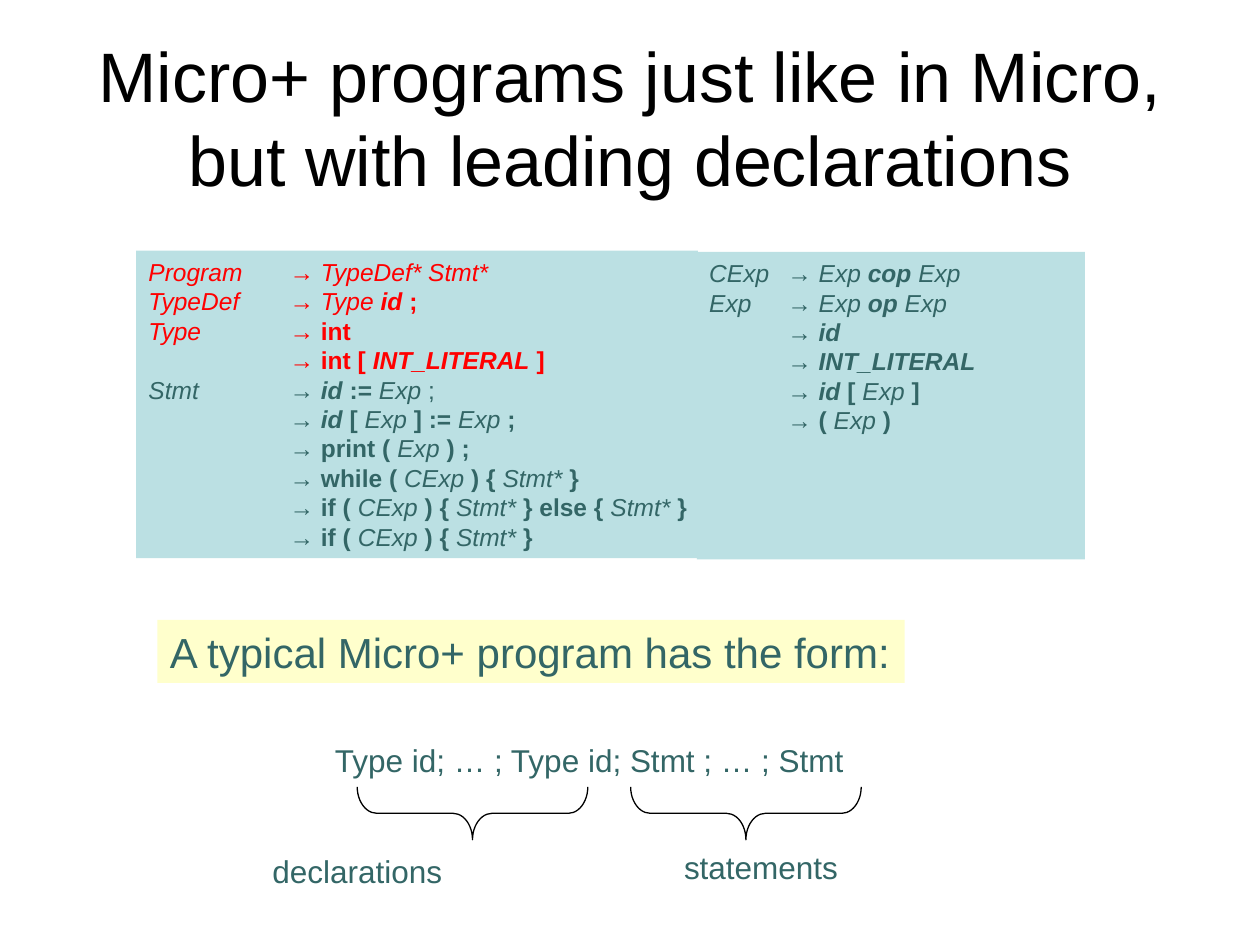
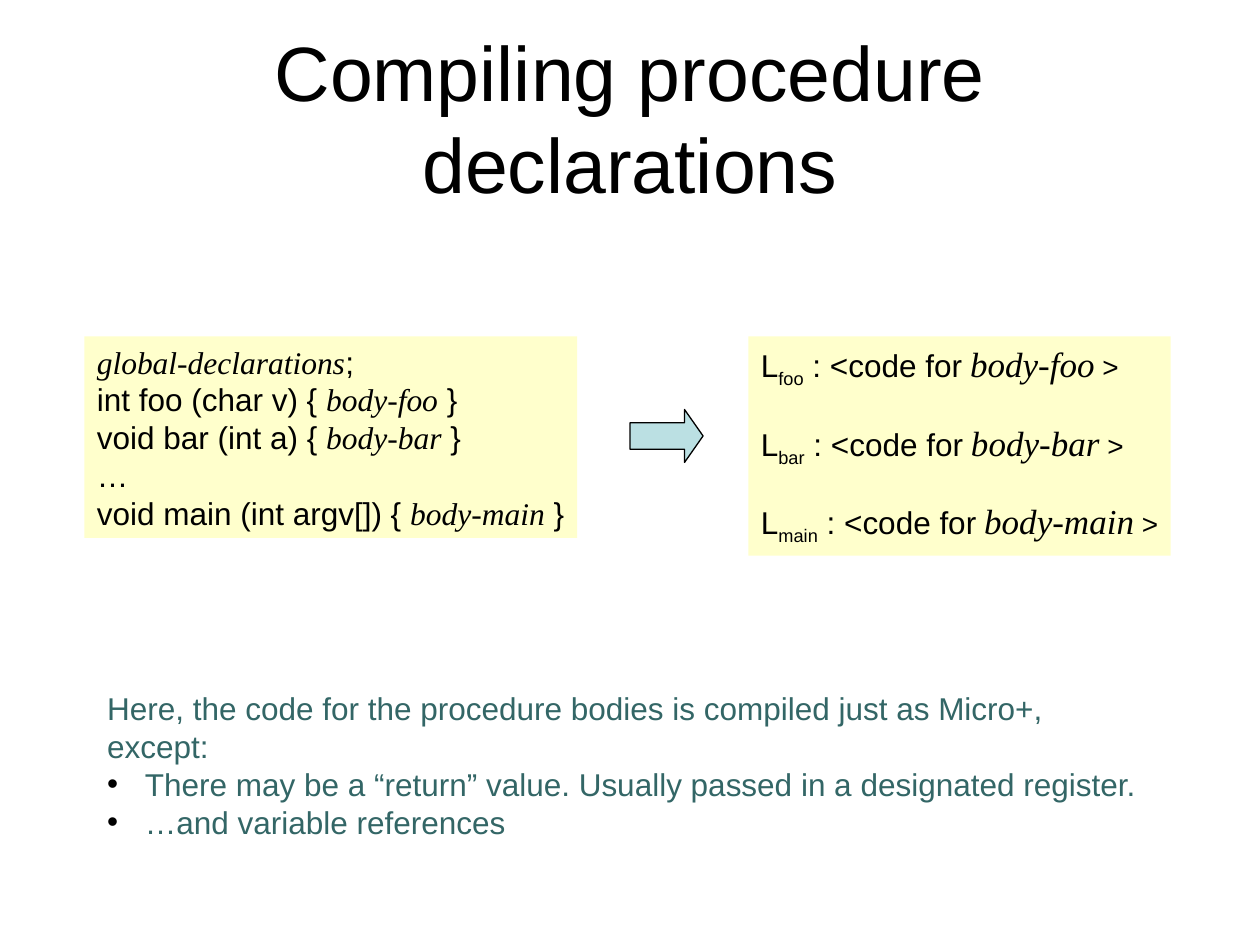
from lxml import etree
from pptx import Presentation
from pptx.dml.color import RGBColor
from pptx.enum.shapes import MSO_SHAPE
from pptx.enum.text import MSO_ANCHOR, MSO_AUTO_SIZE, PP_ALIGN
from pptx.oxml.ns import qn
from pptx.util import Inches, Pt

LEFT, CENTER = PP_ALIGN.LEFT, PP_ALIGN.CENTER
TOP, MIDDLE = MSO_ANCHOR.TOP, MSO_ANCHOR.MIDDLE
NO_AUTOFIT = MSO_AUTO_SIZE.NONE
RIGHT_BRACE, RIGHT_ARROW = MSO_SHAPE.RIGHT_BRACE, MSO_SHAPE.RIGHT_ARROW

BLACK, RED, TEAL = "000000", "FF0000", "336666"
BLUE, YELLOW = "BBE0E3", "FFFFCC"

PLAIN = {}
B = {"bold": True}
I = {"italic": True}
BI = {**B, **I}
BODY = {"italic": True, "font": "Times New Roman"}


def paint(fill, color):
    fill.solid()
    fill.fore_color.rgb = RGBColor.from_string(color)


def write(sp, lines, size=18, color=TEAL, fill=None, align=LEFT, anchor=TOP,
          wrap=False, tab=None, gap=0, bullets_from=None):
    """Fill sp with lines, each a string or a list of (text, style) runs."""
    if fill:
        paint(sp.fill, fill)
    tf = sp.text_frame
    tf.auto_size = NO_AUTOFIT
    tf.word_wrap = wrap
    tf.vertical_anchor = anchor
    for n, line in enumerate(lines):
        p = tf.add_paragraph() if n else tf.paragraphs[0]
        pPr = p._p.get_or_add_pPr()
        if bullets_from is not None:
            bulleted = n >= bullets_from
            indent = Inches(0.3) if bulleted else 0
            pPr.set("marL", str(indent))
            pPr.set("indent", str(-indent))
            if bulleted:
                clr = etree.SubElement(pPr, qn("a:buClr"))
                etree.SubElement(clr, qn("a:srgbClr"), val=BLACK)
                etree.SubElement(pPr, qn("a:buChar"), char="•")
            else:
                etree.SubElement(pPr, qn("a:buNone"))
        if tab:
            tabs = etree.SubElement(pPr, qn("a:tabLst"))
            etree.SubElement(tabs, qn("a:tab"), pos=str(Inches(tab)), algn="l")
        p.alignment = align
        p.space_before = Pt(gap if n else 0)
        for text, style in [(line, PLAIN)] if isinstance(line, str) else line:
            r = p.add_run()
            r.text = text
            r.font.name = style.get("font", "Arial")
            r.font.size = Pt(style.get("size", size))
            r.font.bold = style.get("bold", False)
            r.font.italic = style.get("italic", False)
            paint(r.font.fill, style.get("color", color))
            if "baseline" in style:
                r.font._element.set("baseline", style["baseline"])


prs = Presentation()
prs.slide_width, prs.slide_height = Inches(10), Inches(7.5)

slides = []
for layout, title, size in [
    (5, "Micro+ programs just like in Micro, but with leading declarations", 40),
    (1, "Compiling procedure declarations", 44),
]:
    slide = prs.slides.add_slide(prs.slide_layouts[layout])
    sp = slide.shapes.title
    sp.left, sp.top, sp.width, sp.height = map(Inches, (0.5, 0.3, 9, 1.25))
    write(sp, [title], size, BLACK, align=CENTER, anchor=MIDDLE, wrap=True)
    slides.append(slide)

# Slide 1: grammar, with the new rules in red
shapes = slides[0].shapes
new_rules = [
    ("Program", [("TypeDef* Stmt*", I)]),
    ("TypeDef", [("Type ", I), ("id ", BI), (";", B)]),
    ("Type", [("int", B)]),
    ("", [("int [ ", B), ("INT_LITERAL", BI), (" ]", B)]),
]
block = [(") { ", B), ("Stmt* ", I)]
condition = [("CExp ", I), *block]
stmt_rules = [
    ("Stmt", [("id ", BI), (":= ", B), ("Exp ", I), (";", PLAIN)]),
    ("", [("id ", BI), ("[ ", B), ("Exp ", I), ("] := ", B), ("Exp ", I), (";", B)]),
    ("", [("print ( ", B), ("Exp ", I), (") ;", B)]),
    ("", [("while ( ", B), *condition, ("}", B)]),
    ("", [("if ( ", B), *condition, ("} else { ", B), ("Stmt* ", I), ("}", B)]),
    ("", [("if ( ", B), *condition, ("}", B)]),
]
exp_rules = [
    ("CExp", [("Exp ", I), ("cop", BI), (" Exp", I)]),
    ("Exp", [("Exp ", I), ("op", BI), (" Exp", I)]),
    ("", [("id", BI)]),
    ("", [("INT_LITERAL", BI)]),
    ("", [("id ", BI), ("[ ", B), ("Exp ", I), ("]", B)]),
    ("", [("( ", B), ("Exp ", I), (")", B)]),
]
for box, tab, wrap, groups in [
    ((1.08, 1.99, 4.46, 2.44), 1.12, False, [(RED, new_rules), (TEAL, stmt_rules)]),
    ((5.53, 2, 3.08, 2.44), 0.62, True, [(TEAL, exp_rules)]),
]:
    lines = [
        [(text, {**style, "color": color})
         for text, style in [(head + "\t", I), ("→ ", PLAIN), *runs]]
        for color, rules in groups for head, runs in rules
    ]
    sp = shapes.add_textbox(*map(Inches, box))
    write(sp, lines, 14, fill=BLUE, wrap=wrap, tab=tab)

sp = shapes.add_textbox(*map(Inches, (1.25, 4.92, 5.93, 0.5)))
write(sp, ["A typical Micro+ program has the form:"], 24, fill=YELLOW)

for text, box, align in [
    ("Type id; … ; Type id; Stmt ; … ; Stmt", (2.56, 5.83, 4.27, 0.4), LEFT),
    ("declarations", (2.06, 6.71, 1.55, 0.4), CENTER),
    ("statements", (5.33, 6.68, 1.42, 0.4), CENTER),
]:
    write(shapes.add_textbox(*map(Inches, box)), [text], align=align)

# Slide 2: source code, arrow and compiled code
source_lines = [[("global-declarations", BODY), (";", PLAIN)]]
for head, name in [("int foo (char v)", "foo"), ("void bar (int a)", "bar"),
                   (None, None), ("void main (int argv[])", "main")]:
    source_lines.append(
        [(head + " { ", PLAIN), ("body-" + name, BODY), (" }", PLAIN)]
        if head else "…")
compiled_lines = [
    [("L", PLAIN), (name, {"baseline": "-25000"}), (" : <code for", PLAIN),
     (" ", {"size": 16}), ("body-" + name, {**BODY, "size": 20}),
     (" >", {"size": 16})]
    for name in ("foo", "bar", "main")
]
shapes = slides[1].shapes
for box, lines, gap in [
    ((0.67, 2.67, 3.91, 1.6), source_lines, 0),
    ((5.94, 2.67, 3.35, 1.74), compiled_lines, 18.4),
]:
    sp = shapes.add_textbox(*map(Inches, box))
    write(sp, lines, color=BLACK, fill=YELLOW, gap=gap)

sp = shapes.placeholders[1]
sp.left, sp.top, sp.width, sp.height = map(Inches, (0.75, 5.42, 8.5, 1))
write(sp, [
    "Here, the code for the procedure bodies is compiled just as Micro+, except:",
    "There may be a “return” value. Usually passed in a designated register.",
    "…and variable references",
], bullets_from=1)

# Braces of slide 1 and arrow of slide 2
for slide, kind, box, rotation, adjustments, fill in [
    (slides[0], RIGHT_BRACE, (3.54, 5.54, 0.42, 1.83), 90, (0.37, 0.5), None),
    (slides[0], RIGHT_BRACE, (5.71, 5.54, 0.42, 1.83), 90, (0.37, 0.5), None),
    (slides[1], RIGHT_ARROW, (5, 3.25, 0.58, 0.42), 0, (0.5, 0.35), BLUE),
]:
    sp = slide.shapes.add_shape(kind, *map(Inches, box))
    sp.rotation = rotation
    sp.shadow.inherit = False
    for n, value in enumerate(adjustments):
        sp.adjustments[n] = value
    if fill:
        paint(sp.fill, fill)
    else:
        sp.fill.background()
    paint(sp.line.fill, BLACK)
    sp.line.width = Pt(0.75)

prs.save("out.pptx")
